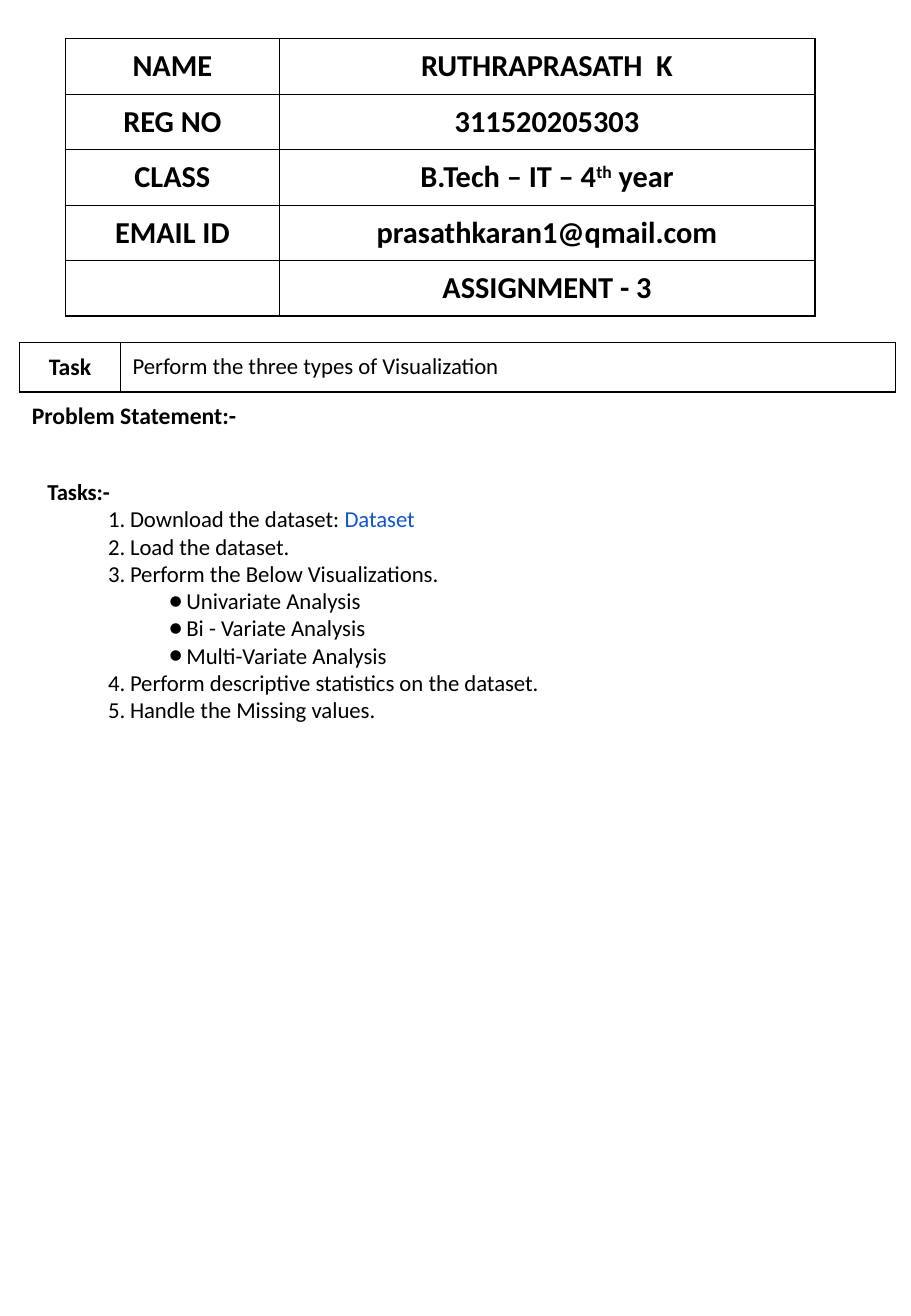
from lxml import etree
from pptx import Presentation
from pptx.dml.color import RGBColor
from pptx.enum.text import MSO_ANCHOR, MSO_AUTO_SIZE, PP_ALIGN
from pptx.oxml.ns import qn
from pptx.util import Cm, Pt

MIDDLE = MSO_ANCHOR.MIDDLE
FIT_SHAPE = MSO_AUTO_SIZE.SHAPE_TO_FIT_TEXT
LEFT, CENTER, JUSTIFY = PP_ALIGN.LEFT, PP_ALIGN.CENTER, PP_ALIGN.JUSTIFY
FONT, BLACK, LINK_BLUE = "Calibri", "000000", "1155CD"
SIDES = "LRTB"

STUDENT_ROWS = [
    ("NAME", "RUTHRAPRASATH  K"),
    ("REG NO", "311520205303"),
    ("CLASS", "B.Tech – IT – 4"),
    ("EMAIL ID", "prasathkaran1@qmail.com"),
    ("", "ASSIGNMENT - 3"),
]
# Each task: number (None for a bulleted sub-item) and text
TASKS = [
    (1, "Download the dataset: "),
    (2, "Load the dataset."),
    (3, "Perform the Below Visualizations."),
    (None, "Univariate Analysis"),
    (None, "Bi - Variate Analysis"),
    (None, "Multi-Variate Analysis"),
    (4, "Perform descriptive statistics on the dataset."),
    (5, "Handle the Missing values."),
]


def color(hex_string):
    return RGBColor.from_string(hex_string)


def style_para(para, size, bold=False, align=LEFT):
    para.alignment = align
    para.font.name, para.font.size, para.font.bold = FONT, Pt(size), bold
    para.font.color.rgb = color(BLACK)


def set_borders(cell, drawn_sides):
    properties = cell._tc.get_or_add_tcPr()
    for index, side in enumerate(SIDES):
        line = etree.Element(qn(f"a:ln{side}"), w=str(Pt(1)))
        if side in drawn_sides:
            fill = etree.SubElement(line, qn("a:solidFill"))
            etree.SubElement(fill, qn("a:srgbClr"), val=BLACK)
        else:
            etree.SubElement(line, qn("a:noFill"))
        properties.insert(index, line)


def fill_cell(cell, text, size, bold=True, align=CENTER, drawn_sides=SIDES):
    cell.fill.background()
    cell.vertical_anchor = MIDDLE
    para = cell.text_frame.paragraphs[0]
    style_para(para, size, bold, align)
    if text:
        para.add_run().text = text
    set_borders(cell, drawn_sides)
    return para


def add_grid(page, left, top, column_widths, row_height, row_count):
    frame = page.shapes.add_table(row_count, len(column_widths), left, top,
                                  sum(column_widths), row_height * row_count)
    table = frame.table
    table.first_row = table.horz_banding = False
    for column, width in zip(table.columns, column_widths):
        column.width = width
    return table


def add_student_table(page, left, top):
    table = add_grid(page, left, top, [Cm(4.47), Cm(11.2)], Cm(1.16), len(STUDENT_ROWS))
    for row, (label, value) in enumerate(STUDENT_ROWS):
        fill_cell(table.cell(row, 0), label, 18)
        para = fill_cell(table.cell(row, 1), value, 18)
        if label == "CLASS":
            ordinal = para.add_run()
            ordinal.text = "th"
            ordinal._r.get_or_add_rPr().set("baseline", "30000")
            para.add_run().text = " year"


def add_task_table(page, left, top):
    table = add_grid(page, left, top, [Cm(2.11), Cm(16.2)], Cm(1.03), 2)
    fill_cell(table.cell(0, 0), "Task", 14)
    fill_cell(table.cell(0, 1), "Perform the three types of Visualization",
              13.5, bold=False, align=JUSTIFY)
    statement = table.cell(1, 0)
    statement.merge(table.cell(1, 1))
    fill_cell(statement, "Problem Statement:-", 14, align=LEFT, drawn_sides="T")
    fill_cell(table.cell(1, 1), "", 14, drawn_sides="T")


def set_list_marker(para, number):
    start, hang = (Cm(1.27), Cm(0.46)) if number else (Cm(2.54), Cm(0.37))
    properties = para._p.get_or_add_pPr()
    properties.set("marL", str(start + hang))
    properties.set("indent", str(-hang))
    if number:
        marker = etree.Element(qn("a:buAutoNum"), type="arabicPeriod", startAt=str(number))
    else:
        properties.set("lvl", "1")
        marker = etree.Element(qn("a:buChar"), char="●")
    font = etree.Element(qn("a:buFont"), typeface=FONT)
    properties.insert(0, font)
    font.addnext(marker)


def add_task_list(page, left, top, width, height):
    box = page.shapes.add_textbox(left, top, width, height)
    frame = box.text_frame
    frame.word_wrap = True
    frame.auto_size = FIT_SHAPE
    heading = frame.paragraphs[0]
    heading.add_run().text = "Tasks:-"
    style_para(heading, 13.5, bold=True)
    for number, text in TASKS:
        para = frame.add_paragraph()
        para.add_run().text = text
        style_para(para, 13.5)
        set_list_marker(para, number)
        if number == 1:
            span = para.add_run()
            span.text = "Dataset"
            span.font.color.rgb = color(LINK_BLUE)


def main():
    deck = Presentation()
    deck.slide_width, deck.slide_height = Cm(19.05), Cm(27.51)
    page = deck.slides.add_slide(deck.slide_layouts[6])
    # Student details
    add_student_table(page, Cm(1.37), Cm(0.81))
    # Task and problem statement
    add_task_table(page, Cm(0.41), Cm(7.16))
    # Steps to carry out
    add_task_list(page, Cm(0.74), Cm(9.86), Cm(17.98), Cm(5.46))
    deck.save("out.pptx")


if __name__ == "__main__":
    main()
